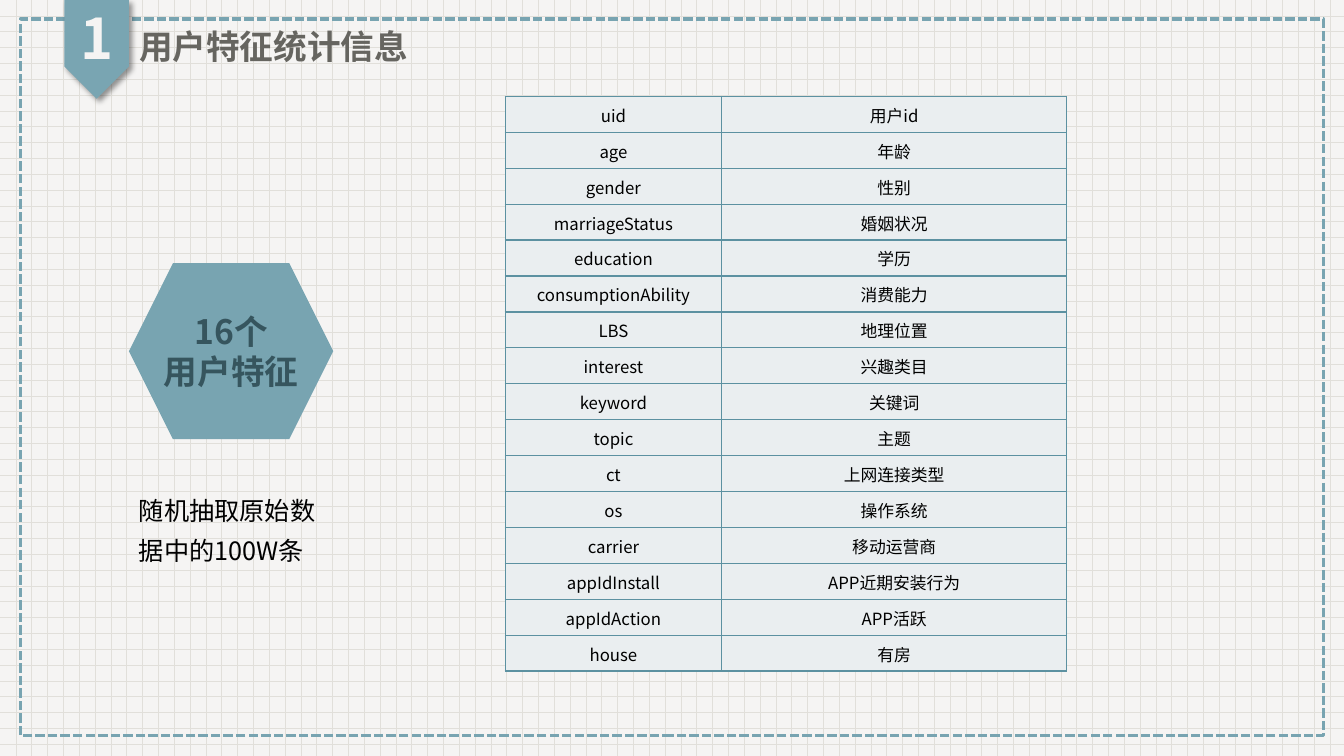
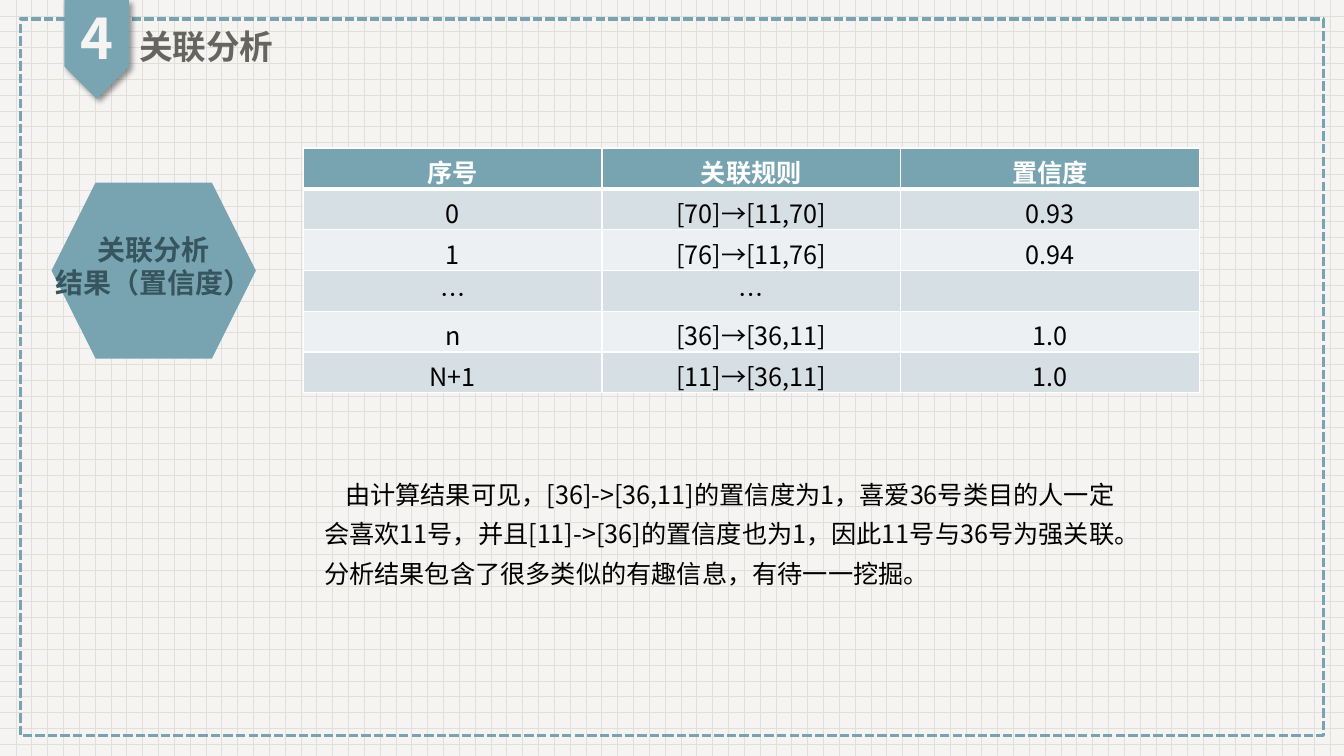
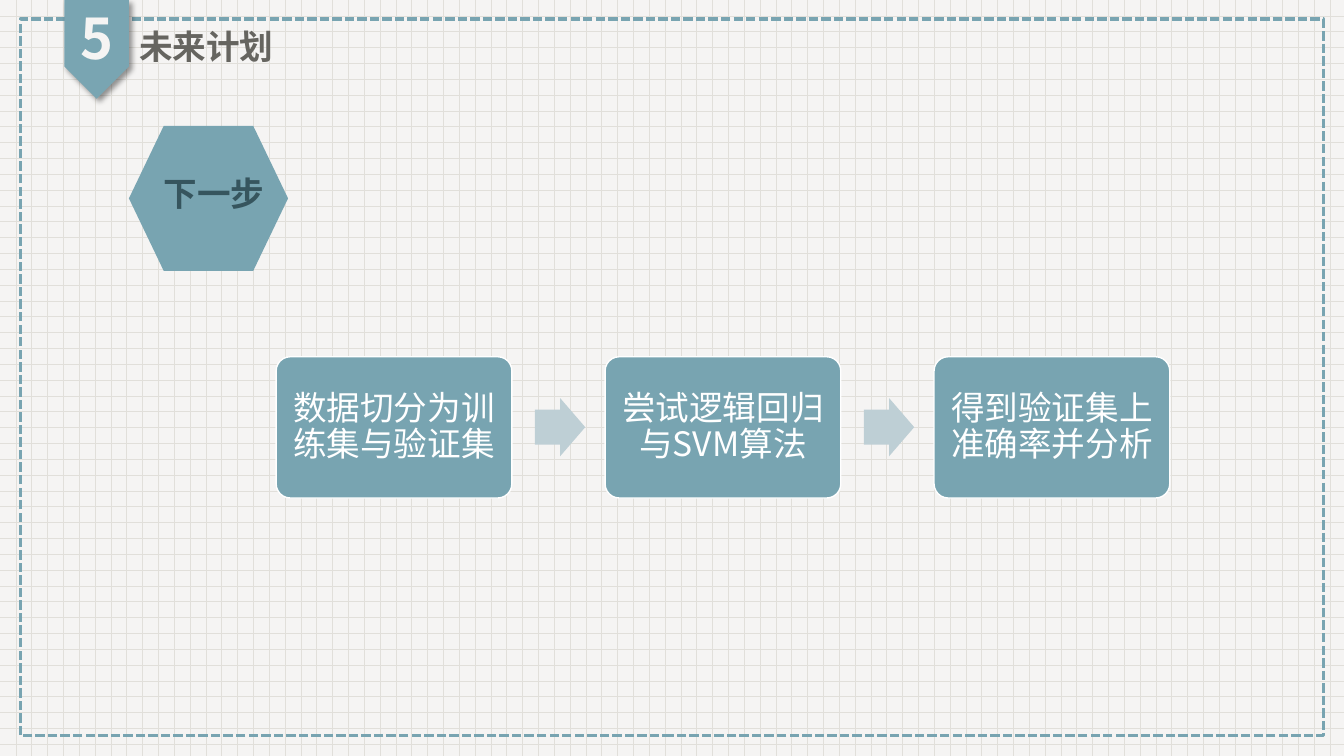
from dataclasses import dataclass
from typing import NamedTuple

import lxml.etree
import pptx
import pptx.dml.color
import pptx.enum.dml
import pptx.enum.shapes
import pptx.enum.text
import pptx.oxml.ns
import pptx.util

# Shared look
FONT = "Noto Sans CJK SC"
TEAL, BADGE_TEAL, DARK_TEAL, RULE_TEAL = "78A4B1", "79A5B2", "36555E", "5C91A1"
ARROW_BLUE = "BECFD5"
PAPER, GRID, GRAY, BLACK, WHITE = "F5F4F3", "E1DFDA", "666560", "000000", "FFFFFF"
FEATURE_FILL, BAND_DARK, BAND_LIGHT = "EAEEF0", "D6E0E4", "ECF0F2"

SHAPE = pptx.enum.shapes.MSO_SHAPE
ALIGN = pptx.enum.text.PP_ALIGN
MIDDLE = pptx.enum.text.MSO_ANCHOR.MIDDLE
TOP = pptx.enum.text.MSO_ANCHOR.TOP
Cm, Pt = pptx.util.Cm, pptx.util.Pt


class Box(NamedTuple):
    """Position and size in centimetres."""
    left: float
    top: float
    width: float
    height: float

    def emu(self) -> list:
        return [Cm(length) for length in self]


class Margins(NamedTuple):
    """Text margins in centimetres."""
    left: float
    top: float
    right: float
    bottom: float


@dataclass(frozen=True)
class TextStyle:
    size: float
    color: str
    bold: bool = False
    align: ALIGN = ALIGN.CENTER
    spacing: float = 1.0
    before: float = 0
    after: float = 0


@dataclass(frozen=True)
class Hexagon:
    box: Box
    label: str
    size: float
    inset: float = 0.25
    margins: Margins = Margins(0, 0, 0, 0)


@dataclass(frozen=True)
class TableStyle:
    size: float
    fills: tuple
    rule: str
    margins: Margins
    anchor: pptx.enum.text.MSO_ANCHOR
    header_fill: str = ""


HEADING = TextStyle(24, GRAY, True, ALIGN.LEFT, 0.9, 10)
NUMBER = TextStyle(40, PAPER, True, spacing=0.9, before=10)
NOTE = TextStyle(18, BLACK, align=ALIGN.LEFT, spacing=1.3, before=6)
STEP = TextStyle(24, WHITE, spacing=0.9, after=8.4)

TITLE_BOX = Box(3.25, 0.58, 11.68, 1.3)
NUMBER_BOX = Box(1.63, 0, 1.63, 2.08)
FRAME_BOX = Box(0.51, 0.48, 32.84, 18.06)
BADGE_BOX = Box(1.19, 0.43, 2.49, 1.63)

FEATURE_TABLE = TableStyle(12, (FEATURE_FILL,), RULE_TEAL,
                           Margins(0.03, 0.03, 0.03, 0), MIDDLE)
RULE_TABLE = TableStyle(18, (BAND_DARK, BAND_LIGHT), WHITE,
                        Margins(0.25, 0.13, 0.25, 0.13), TOP, TEAL)

# Content
FEATURES = [
    ("uid", "用户id"), ("age", "年龄"), ("gender", "性别"),
    ("marriageStatus", "婚姻状况"), ("education", "学历"),
    ("consumptionAbility", "消费能力"), ("LBS", "地理位置"),
    ("interest", "兴趣类目"), ("keyword", "关键词"), ("topic", "主题"),
    ("ct", "上网连接类型"), ("os", "操作系统"), ("carrier", "移动运营商"),
    ("appIdInstall", "APP近期安装行为"), ("appIdAction", "APP活跃"),
    ("house", "有房"),
]
RULES = [
    ("序号", "关联规则", "置信度"),
    ("0", "[70]→[11,70]", "0.93"),
    ("1", "[76]→[11,76]", "0.94"),
    ("…", "…", ""),
    ("n", "[36]→[36,11]", "1.0"),
    ("N+1", "[11]→[36,11]", "1.0"),
]
FINDING = ("由计算结果可见，[36]->[36,11]的置信度为1，喜爱36号类目的人一定会喜欢11号，"
           "并且[11]->[36]的置信度也为1，因此11号与36号为强关联。"
           "分析结果包含了很多类似的有趣信息，有待一一挖掘。")
STEPS = ["数据切分为训练集与验证集", "尝试逻辑回归与SVM算法", "得到验证集上准确率并分析"]


def rgb(color: str) -> pptx.dml.color.RGBColor:
    return pptx.dml.color.RGBColor.from_string(color)


def add_xml(parent, tag: str, **attributes):
    return lxml.etree.SubElement(
        parent, pptx.oxml.ns.qn(tag), {k: str(v) for k, v in attributes.items()})


def write(frame, text: str, style: TextStyle) -> None:
    frame.text = text
    for paragraph in frame.paragraphs:
        paragraph.alignment = style.align
        paragraph.line_spacing = style.spacing
        paragraph.space_before = Pt(style.before)
        paragraph.space_after = Pt(style.after)
        for run in paragraph.runs:
            run.font.size = Pt(style.size)
            run.font.bold = style.bold
            run.font.color.rgb = rgb(style.color)
            run.font.name = FONT
            properties = run.font._element
            east_asian = add_xml(properties, "a:ea", typeface=FONT)
            properties.find(pptx.oxml.ns.qn("a:latin")).addnext(east_asian)


def set_margins(target, margins: Margins) -> None:
    target.margin_left = Cm(margins.left)
    target.margin_top = Cm(margins.top)
    target.margin_right = Cm(margins.right)
    target.margin_bottom = Cm(margins.bottom)


def add_shape(slide, kind: SHAPE, box: Box, fill: str = "", line: str = "",
              width: float = 1):
    shape = slide.shapes.add_shape(kind, *box.emu())
    shape.shadow.inherit = False
    if fill:
        shape.fill.solid()
        shape.fill.fore_color.rgb = rgb(fill)
    else:
        shape.fill.background()
    if line:
        shape.line.color.rgb = rgb(line)
        shape.line.width = Pt(width)
    else:
        shape.line.fill.background()
    return shape


def add_text(slide, box: Box, text: str, style: TextStyle, anchor=TOP):
    frame = slide.shapes.add_textbox(*box.emu()).text_frame
    frame.word_wrap = True
    frame.vertical_anchor = anchor
    write(frame, text, style)
    return frame


def add_hexagon(slide, hexagon: Hexagon) -> None:
    shape = add_shape(slide, SHAPE.HEXAGON, hexagon.box, TEAL)
    shape.adjustments[0] = hexagon.inset
    frame = shape.text_frame
    frame.word_wrap = False
    frame.vertical_anchor = MIDDLE
    set_margins(frame, hexagon.margins)
    write(frame, hexagon.label, TextStyle(hexagon.size, DARK_TEAL, True))


def add_cell_rules(cell, color: str, top: float, bottom: float) -> None:
    properties = cell._tc.get_or_add_tcPr()
    for edge, width in (("L", 1), ("R", 1), ("T", top), ("B", bottom)):
        rule = add_xml(properties, f"a:ln{edge}", w=Pt(width))
        add_xml(add_xml(rule, "a:solidFill"), "a:srgbClr", val=color)


def add_table(slide, box: Box, widths: list[float], rows: list[tuple],
              style: TableStyle) -> None:
    table = slide.shapes.add_table(len(rows), len(widths), *box.emu()).table
    table.first_row = bool(style.header_fill)
    table.horz_banding = False
    for column, width in zip(table.columns, widths):
        column.width = Cm(width)
    for r, values in enumerate(rows):
        table.rows[r].height = Cm(box.height / len(rows))
        header = bool(style.header_fill) and r == 0
        below_header = bool(style.header_fill) and r == 1
        first_body = 1 if style.header_fill else 0
        fill = style.header_fill if header else style.fills[(r - first_body) % len(style.fills)]
        for c, value in enumerate(values):
            cell = table.cell(r, c)
            cell.vertical_anchor = style.anchor
            set_margins(cell, style.margins)
            write(cell.text_frame, value,
                  TextStyle(style.size, WHITE if header else BLACK, header))
            add_cell_rules(cell, style.rule, 3 if below_header else 1, 3 if header else 1)
            cell.fill.solid()
            cell.fill.fore_color.rgb = rgb(fill)


def dress_layout(layout, slide) -> None:
    """Give the layout its paper, dashed frame, badge and title place."""
    paper = layout.background.fill
    paper.patterned()
    paper.pattern = pptx.enum.dml.MSO_PATTERN.DOTTED_GRID
    paper.fore_color.rgb = rgb(GRID)
    paper.back_color.rgb = rgb(PAPER)

    for placeholder in list(layout.placeholders):
        if placeholder.placeholder_format.idx == 0:
            (placeholder.left, placeholder.top,
             placeholder.width, placeholder.height) = TITLE_BOX.emu()
        else:
            placeholder._element.getparent().remove(placeholder._element)

    frame = add_shape(slide, SHAPE.RECTANGLE, FRAME_BOX, line=TEAL, width=2.25)
    frame.line.dash_style = pptx.enum.dml.MSO_LINE.SQUARE_DOT
    badge = add_shape(slide, SHAPE.PENTAGON, BADGE_BOX, BADGE_TEAL)
    badge.rotation = 90
    effects = badge._element.spPr.find(pptx.oxml.ns.qn("a:effectLst"))
    shadow = add_xml(effects, "a:outerShdw", blurRad=Pt(4), dist=Pt(3),
                     dir=45 * 60000, algn="tl", rotWithShape=0)
    add_xml(add_xml(shadow, "a:srgbClr", val=BLACK), "a:alpha", val=40000)
    for part in (frame, badge):
        layout.shapes._spTree.append(part._element)


def add_heading(slide, number: str, heading: str) -> None:
    add_text(slide, NUMBER_BOX, number, NUMBER, MIDDLE)
    title = slide.shapes.title
    title.left, title.top, title.width, title.height = TITLE_BOX.emu()
    title.text_frame.auto_size = pptx.enum.text.MSO_AUTO_SIZE.NONE
    title.text_frame.vertical_anchor = MIDDLE
    write(title.text_frame, heading, HEADING)


def build_features(slide) -> None:
    add_heading(slide, "1", "用户特征统计信息")
    add_hexagon(slide, Hexagon(Box(3.25, 6.63, 5.15, 4.44), "16个\n用户特征", 24))
    add_table(slide, Box(12.73, 2.43, 14.15, 14.48), [5.46, 8.69], FEATURES, FEATURE_TABLE)
    add_text(slide, Box(3.25, 12.14, 5.23, 2.16), "随机抽取原始数据中的100W条", NOTE)


def build_rules(slide) -> None:
    add_heading(slide, "4", "关联分析")
    add_hexagon(slide, Hexagon(Box(1.3, 4.6, 5.15, 4.44), "关联分析\n结果（置信度）", 20,
                               margins=Margins(0, 0, 0, 0.25)))
    finding = add_text(slide, Box(7.92, 11.73, 20.96, 3.15), FINDING, NOTE)
    finding.paragraphs[0]._p.get_or_add_pPr().set("indent", str(Cm(0.53)))
    add_table(slide, Box(7.65, 3.73, 22.57, 6.17), [22.57 / 3] * 3, RULES, RULE_TABLE)


def build_plan(slide) -> None:
    add_heading(slide, "5", "未来计划")
    # Steps with an arrow in each gap
    first, pitch = 6.96, 8.29
    for i, step in enumerate(STEPS):
        left = first + i * pitch
        card = add_shape(slide, SHAPE.ROUNDED_RECTANGLE, Box(left, 8.99, 5.94, 3.56),
                         TEAL, WHITE)
        card.adjustments[0] = 0.1
        frame = card.text_frame
        frame.word_wrap = True
        frame.vertical_anchor = MIDDLE
        set_margins(frame, Margins(0.25, 0.25, 0.25, 0.25))
        write(frame, step, STEP)
        if i < len(STEPS) - 1:
            arrow = add_shape(slide, SHAPE.RIGHT_ARROW,
                              Box(left + 6.52, 10.03, 1.27, 1.47), ARROW_BLUE)
            arrow.adjustments[0] = 0.6
            arrow.adjustments[1] = 0.5
    add_hexagon(slide, Hexagon(Box(3.25, 3.17, 4.01, 3.66), "下一步", 24, 0.24,
                               Margins(0.28, 0, 0, 0.25)))


def main() -> None:
    deck = pptx.Presentation()
    deck.slide_width, deck.slide_height = Cm(33.87), Cm(19.05)
    layout = deck.slide_layouts[5]
    slides = [deck.slides.add_slide(layout) for _ in range(3)]
    dress_layout(layout, slides[0])
    for build, slide in zip((build_features, build_rules, build_plan), slides):
        build(slide)
    deck.save("out.pptx")


if __name__ == "__main__":
    main()
